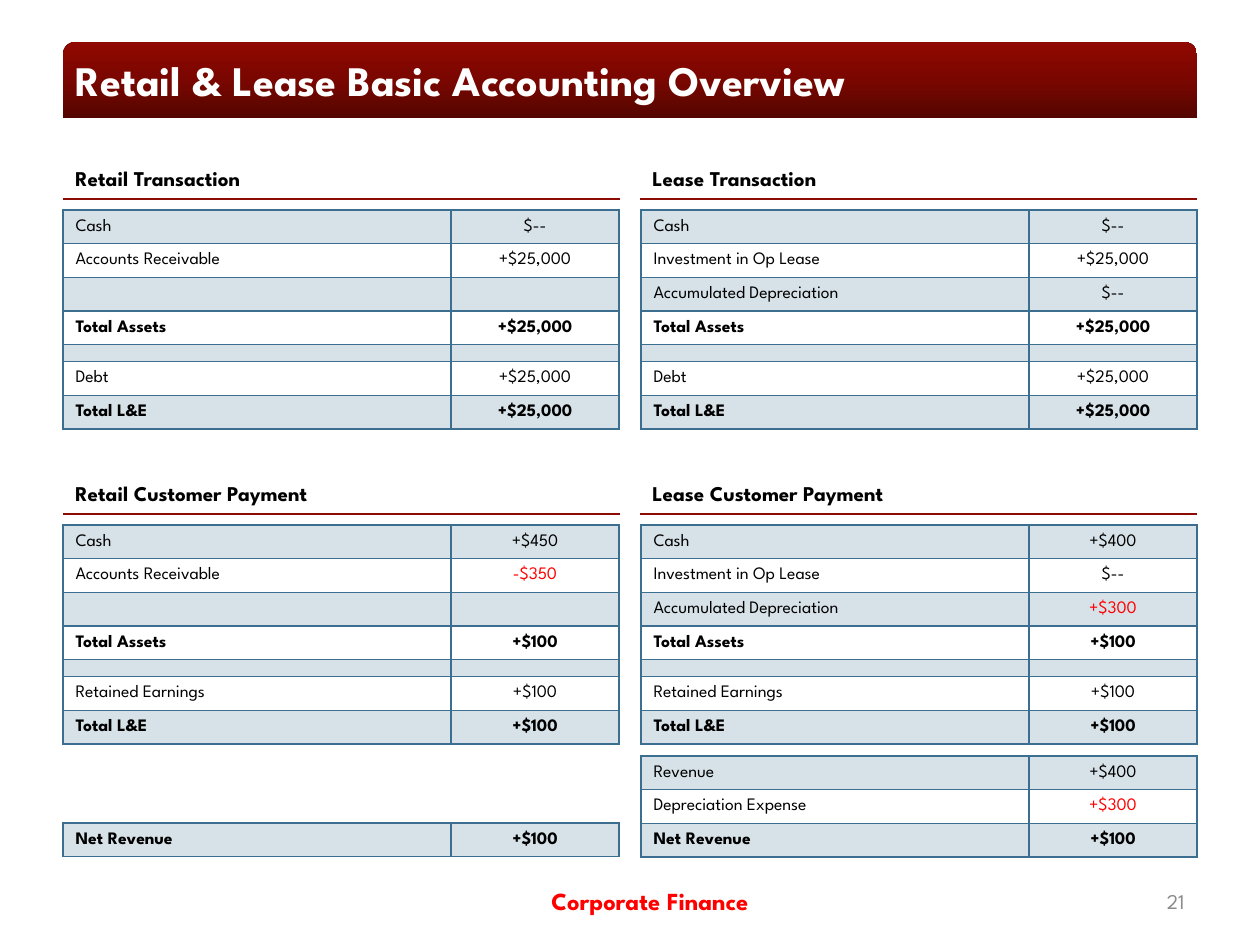
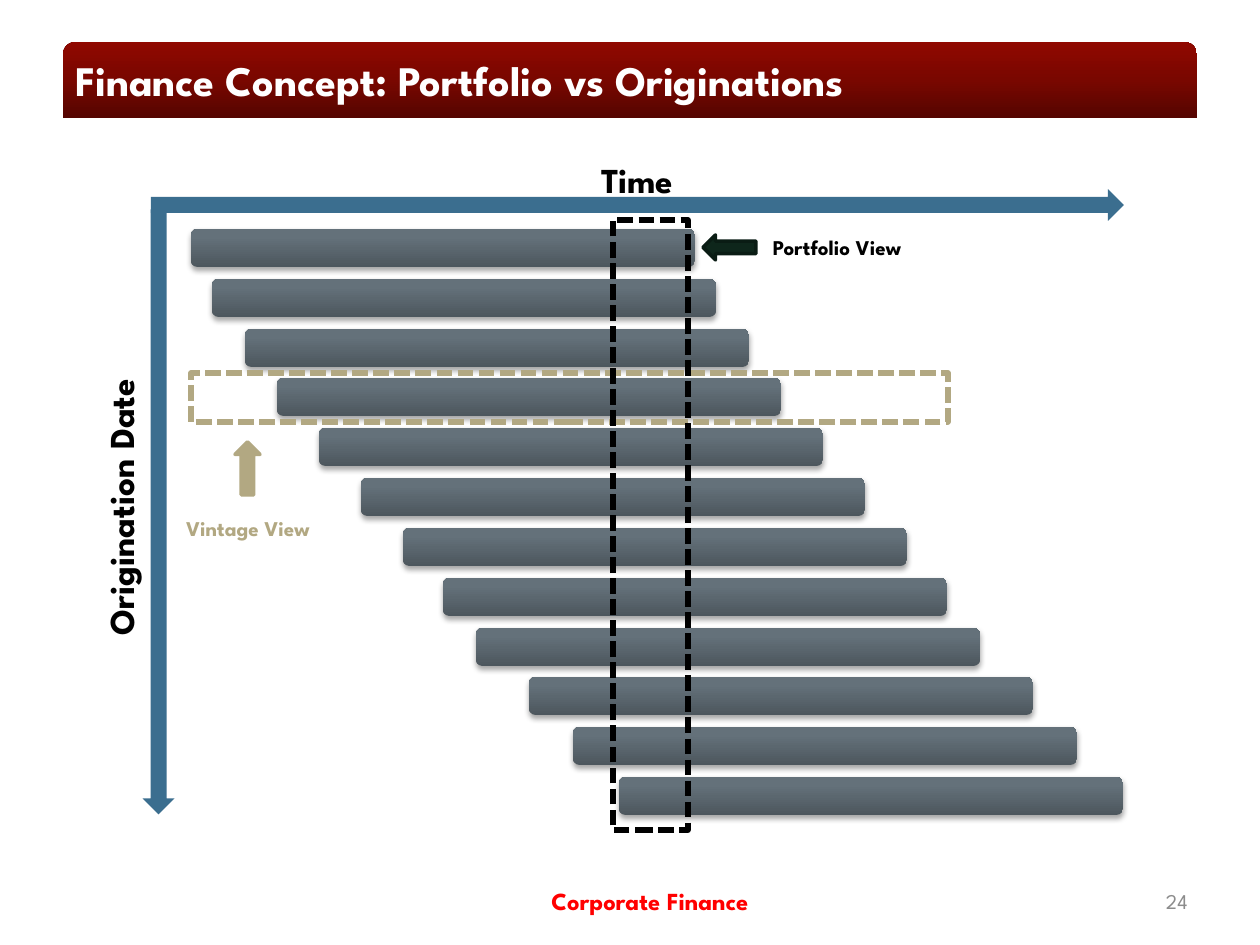
import pptx
import pptx.util
import pptx.dml.color
import pptx.enum.dml
import pptx.enum.shapes
import pptx.enum.text
import pptx.oxml
import pptx.oxml.ns
from dataclasses import dataclass

SHAPE = pptx.enum.shapes.MSO_SHAPE
ANCHOR = pptx.enum.text.MSO_ANCHOR
LEFT, CENTER, RIGHT = (pptx.enum.text.PP_ALIGN.LEFT, pptx.enum.text.PP_ALIGN.CENTER,
                       pptx.enum.text.PP_ALIGN.RIGHT)
NS = pptx.oxml.ns.nsdecls("a")


@dataclass(frozen=True)
class Theme:
    font: str = "League Spartan"
    white: str = "FFFFFF"
    black: str = "000000"
    red: str = "FF0000"
    gray: str = "8C8C8C"
    blue: str = "3B6E8F"
    rule: str = "8C0C04"
    tan: str = "B2A882"
    green: str = "0E261B"
    green_edge: str = "0A1C14"
    band: tuple = ((0, "550500"), (50, "790700"), (100, "900800"))
    bar: tuple = ((0, "4D575E"), (80, "64717A"), (100, "64717B"))
    title: int = 24
    axis: int = 20
    footer: int = 14
    label: int = 12
    cell: int = 10
    spacer: int = 2


T = Theme()

# ---- Content ----
FOOTER = "Corporate Finance"
SPACER = None
RED = True  # marks an amount shown in red

ACCOUNTING = dict(title="Retail & Lease Basic Accounting Overview", number="21",
                  number_box=(903, 876, 294, 50))
PORTFOLIO = dict(title="Finance Concept: Portfolio vs Originations", number="24",
                 number_box=(1124, 876, 76, 50))

# column, heading top, heading
HEADINGS = [
    (0, 157, "Retail Transaction"),
    (1, 157, "Lease Transaction"),
    (0, 472, "Retail Customer Payment"),
    (1, 472, "Lease Customer Payment"),
]

# column, table top, rows
TABLES = [
    (0, 210, [("Cash", "$--"), ("Accounts Receivable", "+$25,000"), ("", ""),
              ("Total Assets", "+$25,000"), SPACER,
              ("Debt", "+$25,000"), ("Total L&E", "+$25,000")]),
    (1, 210, [("Cash", "$--"), ("Investment in Op Lease", "+$25,000"),
              ("Accumulated Depreciation", "$--"),
              ("Total Assets", "+$25,000"), SPACER,
              ("Debt", "+$25,000"), ("Total L&E", "+$25,000")]),
    (0, 525, [("Cash", "+$450"), ("Accounts Receivable", "-$350", RED), ("", ""),
              ("Total Assets", "+$100"), SPACER,
              ("Retained Earnings", "+$100"), ("Total L&E", "+$100")]),
    (1, 525, [("Cash", "+$400"), ("Investment in Op Lease", "$--"),
              ("Accumulated Depreciation", "+$300", RED),
              ("Total Assets", "+$100"), SPACER,
              ("Retained Earnings", "+$100"), ("Total L&E", "+$100")]),
    (0, 823, [("Net Revenue", "+$100")]),
    (1, 756, [("Revenue", "+$400"), ("Depreciation Expense", "+$300", RED),
              ("Net Revenue", "+$100")]),
]

BAR_LEFTS = [191, 212, 245, 277, 319, 361, 403, 443, 476, 529, 573, 619]

# ---- Layout, in px ----
SLIDE_W, SLIDE_H = 1260, 945
BAND = (63, 42, 1134, 76)
FOOTER_BOX = (335, 876, 630, 50)
HEADING_LEFTS, HEADING_W, HEADING_H = (63, 640), 557, 42
TABLE_LEFTS, COLUMN_WIDTHS = (63, 641), (388, 168)
ROW_H, SPACER_H = 28, 16
BAR_W, BAR_H, BAR_FIRST, BAR_LAST = 504, 38, 229, 777
AXIS_INSET = 11


def px(n):
    return pptx.util.Emu(round(n * 914400 / 126))


def rgb(color):
    return pptx.dml.color.RGBColor.from_string(color)


def style(p, size, color=T.black, bold=False, align=LEFT):
    p.alignment = align
    for r in p.runs:
        r.font.name, r.font.size, r.font.bold = T.font, pptx.util.Pt(size), bold
        r.font.color.rgb = rgb(color)


def add_text(slide, box, text, size, color=T.black, bold=True, align=LEFT,
             anchor=ANCHOR.MIDDLE):
    sp = slide.shapes.add_textbox(*map(px, box))
    tf = sp.text_frame
    tf.word_wrap = True
    tf.vertical_anchor = anchor
    tf.text = text
    style(tf.paragraphs[0], size, color, bold, align)
    return sp


def add_block(slide, kind, box, fill=None, line=None, width=0, dash=None):
    sp = slide.shapes.add_shape(kind, *map(px, box))
    sp.shadow.inherit = False
    if isinstance(fill, tuple):
        set_gradient(sp, fill)
    elif fill:
        sp.fill.solid()
        sp.fill.fore_color.rgb = rgb(fill)
    else:
        sp.fill.background()
    if line:
        sp.line.color.rgb = rgb(line)
        sp.line.width = pptx.util.Pt(width)
        sp.line.dash_style = dash
    else:
        sp.line.fill.background()
    return sp


def set_gradient(sp, stops):
    """Fill from the bottom edge up through the given stops."""
    sp.fill.gradient()
    grad = sp._element.spPr.find(pptx.oxml.ns.qn("a:gradFill"))
    gs = "".join(f'<a:gs pos="{pos * 1000}"><a:srgbClr val="{color}"/></a:gs>'
                 for pos, color in stops)
    new = pptx.oxml.parse_xml(f'<a:gradFill {NS} rotWithShape="1"><a:gsLst>{gs}</a:gsLst>'
                              '<a:lin ang="16200000" scaled="0"/></a:gradFill>')
    grad.getparent().replace(grad, new)


def add_shadow(sp):
    effects = sp._element.spPr.find(pptx.oxml.ns.qn("a:effectLst"))
    effects.append(pptx.oxml.parse_xml(
        f'<a:outerShdw {NS} blurRad="39370" dist="22860" dir="5400000" rotWithShape="0">'
        f'<a:srgbClr val="{T.black}"><a:alpha val="35000"/></a:srgbClr></a:outerShdw>'))


def add_rule(slide, left, top, width):
    line = slide.shapes.add_connector(pptx.enum.shapes.MSO_CONNECTOR.STRAIGHT,
                                      px(left), px(top), px(left + width), px(top))
    line.line.color.rgb = rgb(T.rule)
    line.line.width = pptx.util.Pt(1.5)
    line._element.spPr.append(pptx.oxml.parse_xml(f"<a:effectLst {NS}/>"))


def format_cell(cell, shaded):
    if shaded:
        cell.fill.solid()
        cell.fill.fore_color.rgb = rgb(T.blue)
    else:
        cell.fill.background()
    tc_pr = cell._tc.get_or_add_tcPr()
    for clr in tc_pr.iter(pptx.oxml.ns.qn("a:srgbClr")):
        clr.append(pptx.oxml.parse_xml(f'<a:alpha {NS} val="20000"/>'))
    for i, side in enumerate("LRTB"):
        tc_pr.insert(i, pptx.oxml.parse_xml(
            f'<a:ln{side} {NS} w="12700"><a:solidFill><a:srgbClr val="{T.blue}"/>'
            f'</a:solidFill></a:ln{side}>'))


def add_ledger(slide, left, top, rows):
    heights = [SPACER_H if row is SPACER else ROW_H for row in rows]
    frame = slide.shapes.add_table(len(rows), 2, px(left), px(top),
                                   px(sum(COLUMN_WIDTHS)), px(sum(heights)))
    table = frame.table
    table.first_row = table.horz_banding = False
    for column, width in zip(table.columns, COLUMN_WIDTHS):
        column.width = px(width)
    for i, row in enumerate(rows):
        table.rows[i].height = px(heights[i])
        label, amount, *red = row or ("", "")
        bold = label.startswith(("Total", "Net"))
        for j, text in enumerate((label, amount)):
            cell = table.cell(i, j)
            cell.vertical_anchor = ANCHOR.MIDDLE
            p = cell.text_frame.paragraphs[0]
            if text:
                p.text = text
                style(p, T.cell, T.red if j and red else T.black, bold,
                      CENTER if j else LEFT)
            else:
                # The end mark sets the height of an empty cell
                size = T.spacer if row is SPACER else T.cell
                p._p.append(pptx.oxml.parse_xml(
                    f'<a:endParaRPr {NS} sz="{size * 100}">'
                    f'<a:latin typeface="{T.font}"/></a:endParaRPr>'))
            format_cell(cell, i % 2 == 0)


def add_slide(prs, title, number, number_box):
    slide = prs.slides.add_slide(prs.slide_layouts[6])
    add_block(slide, SHAPE.ROUND_2_SAME_RECTANGLE, BAND, T.band)
    add_text(slide, FOOTER_BOX, FOOTER, T.footer, T.red, align=CENTER)
    add_text(slide, BAND, title, T.title, T.white)
    add_text(slide, number_box, number, T.label, T.gray, False, RIGHT)
    return slide


def build_accounting(prs):
    slide = add_slide(prs, **ACCOUNTING)
    for column, top, rows in TABLES:
        add_ledger(slide, TABLE_LEFTS[column], top, rows)
    for column, top, text in HEADINGS:
        left = HEADING_LEFTS[column]
        add_text(slide, (left, top, HEADING_W, HEADING_H), text, T.label)
        add_rule(slide, left, top + HEADING_H, HEADING_W)


def build_portfolio(prs):
    slide = add_slide(prs, **PORTFOLIO)

    # Axes
    add_block(slide, SHAPE.RIGHT_ARROW, (151, 189, 973, 32), T.blue)
    add_block(slide, SHAPE.RIGHT_ARROW, (-144, 496, 605, 32), T.blue).rotation = 90
    for text, box, turn in [("Origination Date", (-193, 486, 604, 42), 270),
                            ("Time", (152, 147, 971, 42), 0)]:
        sp = add_text(slide, box, text, T.axis, align=CENTER, anchor=ANCHOR.TOP)
        sp.text_frame.margin_top = px(AXIS_INSET)
        sp.rotation = turn

    # One bar per origination date
    pitch = (BAR_LAST - BAR_FIRST) / (len(BAR_LEFTS) - 1)
    for i, left in enumerate(BAR_LEFTS):
        top = round(BAR_FIRST + i * pitch)
        add_shadow(add_block(slide, SHAPE.ROUNDED_RECTANGLE, (left, top, BAR_W, BAR_H), T.bar))

    # Vintage and portfolio views
    dash = pptx.enum.dml.MSO_LINE.SQUARE_DOT  # sysDot, changed to sysDash below
    for box, color in [((191, 373, 757, 49), T.tan), ((613, 220, 75, 610), T.black)]:
        sp = add_block(slide, SHAPE.RECTANGLE, box, None, color, 3, dash)
        sp.line._ln.find(pptx.oxml.ns.qn("a:prstDash")).set("val", "sysDash")
    for text, box, color, arrow, fill, edge, turn in [
            ("Portfolio View", (728, 223, 218, 49), T.black,
             (703, 235, 53, 25), T.green, T.green_edge, 0),
            ("Vintage View", (139, 504, 218, 49), T.tan,
             (221, 456, 53, 25), T.tan, T.tan, 90)]:
        add_text(slide, box, text, T.label, color, align=CENTER)
        add_block(slide, SHAPE.LEFT_ARROW, arrow, fill, edge, 2).rotation = turn


def main():
    prs = pptx.Presentation()
    prs.slide_width, prs.slide_height = px(SLIDE_W), px(SLIDE_H)
    build_accounting(prs)
    build_portfolio(prs)
    prs.save("out.pptx")


if __name__ == "__main__":
    main()
